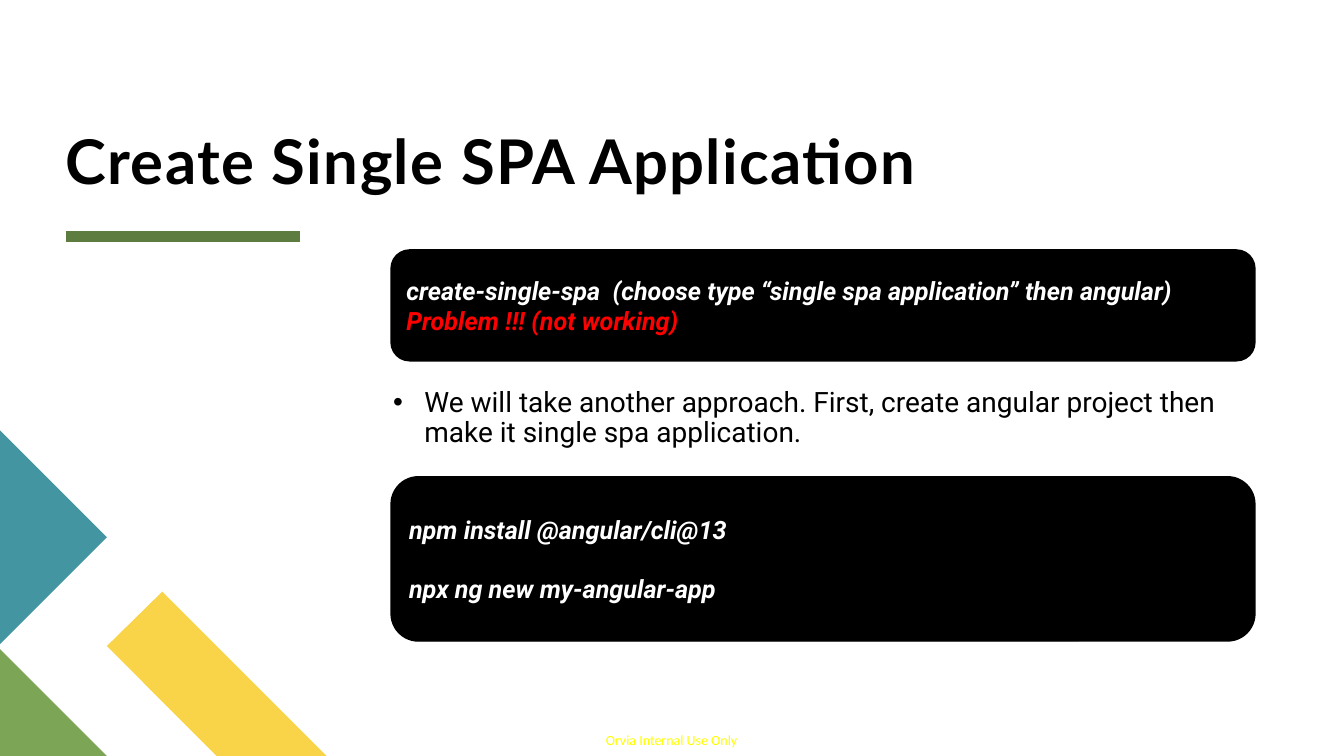
from dataclasses import dataclass

import pptx
import pptx.dml.color
import pptx.enum.shapes
import pptx.enum.text
import pptx.oxml.xmlchemy
import pptx.slide
import pptx.text.text
import pptx.util

RGB = pptx.dml.color.RGBColor
BLACK = RGB(0x00, 0x00, 0x00)
WHITE = RGB(0xFF, 0xFF, 0xFF)
RED = RGB(0xFF, 0x00, 0x00)
BRIGHT_YELLOW = RGB(0xFF, 0xFF, 0x00)
YELLOW = RGB(0xF9, 0xD4, 0x48)
GREEN = RGB(0x7C, 0xA6, 0x55)
DARK_GREEN = RGB(0x5D, 0x7D, 0x40)
TEAL = RGB(0x44, 0x95, 0xA2)

# The grid has square cells: 75 rows fill the height of the slide.
CELL = pptx.util.Inches(0.1)
COLUMNS, ROWS = 133.33, 75
MARGIN = 6.5
CONTENT_LEFT, CONTENT_WIDTH = 38.8, 85.7


@dataclass(frozen=True)
class Ornament:
    color: RGB
    corners: tuple[tuple[float, float], ...]


@dataclass(frozen=True)
class CodeBox:
    top: float
    height: float
    gap: float
    lines: tuple[tuple[str, RGB], ...]


ORNAMENTS = (
    Ornament(YELLOW, ((32.4, ROWS), (21.5, ROWS), (10.6, 64.1), (16.1, 58.7))),
    Ornament(GREEN, ((10.6, ROWS), (0, ROWS), (0, 64.4))),
    Ornament(TEAL, ((0, 42.7), (10.6, 53.3), (0, 63.9))),
)
CODE_BOXES = (
    CodeBox(24.8, 11, 0, (
        ("create-single-spa  (choose type “single spa application” then angular)", WHITE),
        ("Problem !!! (not working)", RED),
    )),
    CodeBox(47.3, 16.3, 21, (
        ("npm install @angular/cli@13", WHITE),
        ("npx ng new my-angular-app", WHITE),
    )),
)


def cells(*counts: float) -> tuple[pptx.util.Emu, ...]:
    """Turn counts of grid cells into lengths."""
    return tuple(pptx.util.Emu(round(count * CELL)) for count in counts)


def format_runs(para: pptx.text.text._Paragraph, font: str, size: float,
                color: RGB, bold: bool = False, italic: bool = False) -> None:
    for span in para.runs:
        span.font.name = font
        span.font.size = pptx.util.Pt(size)
        span.font.color.rgb = color
        span.font.bold = bold
        span.font.italic = italic


def set_frame(frame: pptx.text.text.TextFrame, anchor: pptx.enum.text.MSO_ANCHOR,
              top_inset: float = 0, wrap: bool = True) -> None:
    """Remove the insets except the top one, and set wrapping and anchor."""
    frame.margin_left = frame.margin_right = frame.margin_bottom = 0
    frame.margin_top, = cells(top_inset)
    frame.word_wrap = wrap
    frame.vertical_anchor = anchor


def add_title(page: pptx.slide.Slide) -> None:
    title = page.shapes.title
    title.left, title.top, title.width, title.height = cells(MARGIN, 1.1, 118.9, 18.4)
    frame = title.text_frame
    frame.text = "Create Single SPA Application"
    set_frame(frame, pptx.enum.text.MSO_ANCHOR.BOTTOM)
    frame.auto_size = pptx.enum.text.MSO_AUTO_SIZE.NONE
    para = frame.paragraphs[0]
    para.alignment = pptx.enum.text.PP_ALIGN.LEFT
    para.line_spacing = 0.8
    format_runs(para, "Lato", 44, BLACK, bold=True)
    para.runs[0].font._element.set("spc", "100")


def add_title_rule(page: pptx.slide.Slide) -> None:
    rule = page.shapes.add_connector(
        pptx.enum.shapes.MSO_CONNECTOR.STRAIGHT, *cells(MARGIN, 23.5, 29.8, 23.5))
    rule.line.color.rgb = DARK_GREEN
    rule.line.width = pptx.util.Pt(8)
    rule._element.spPr.append(pptx.oxml.xmlchemy.OxmlElement("a:effectLst"))


def add_ornament(page: pptx.slide.Slide, ornament: Ornament) -> None:
    start, *others = (cells(*corner) for corner in ornament.corners)
    builder = page.shapes.build_freeform(*start)
    builder.add_line_segments(others, close=True)
    shape = builder.convert_to_shape()
    shape.shadow.inherit = False
    shape.fill.solid()
    shape.fill.fore_color.rgb = ornament.color
    shape.line.fill.background()


def add_code_box(page: pptx.slide.Slide, code: CodeBox) -> None:
    box = page.shapes.add_shape(
        pptx.enum.shapes.MSO_SHAPE.ROUNDED_RECTANGLE,
        *cells(CONTENT_LEFT, code.top, CONTENT_WIDTH, code.height))
    box.shadow.inherit = False
    box.fill.solid()
    box.fill.fore_color.rgb = BLACK
    box.line.color.rgb = BLACK
    box.line.width = pptx.util.Pt(1)
    frame = box.text_frame
    frame.vertical_anchor = pptx.enum.text.MSO_ANCHOR.MIDDLE
    frame.text = "\n".join(text for text, _ in code.lines)
    for index, (para, (_, color)) in enumerate(zip(frame.paragraphs, code.lines)):
        para.alignment = pptx.enum.text.PP_ALIGN.LEFT
        para.space_before = pptx.util.Pt(code.gap if index else 0)
        format_runs(para, "Roboto", 18, color, bold=True, italic=True)


def add_bullet(para: pptx.text.text._Paragraph, indent: float) -> None:
    properties = para._element.get_or_add_pPr()
    hanging, = cells(indent)
    properties.set("marL", str(hanging))
    properties.set("indent", str(-hanging))
    font = pptx.oxml.xmlchemy.OxmlElement("a:buFont")
    font.set("typeface", "Arial")
    mark = pptx.oxml.xmlchemy.OxmlElement("a:buChar")
    mark.set("char", "•")
    properties.extend((font, mark))


def add_approach(page: pptx.slide.Slide) -> None:
    box = page.shapes.add_textbox(*cells(39, 36, 85.4, 11))
    frame = box.text_frame
    frame.text = ("We will take another approach. First, create angular project "
                  "then make it single spa application.")
    set_frame(frame, pptx.enum.text.MSO_ANCHOR.TOP, top_inset=2.5)
    para = frame.paragraphs[0]
    para.line_spacing = 0.9
    para.space_before = pptx.util.Pt(18)
    add_bullet(para, 3.1)
    format_runs(para, "Roboto", 20, BLACK)


def add_usage_label(page: pptx.slide.Slide) -> None:
    box = page.shapes.add_textbox(*cells(60.1, 72.6, 13.4, 1.7))
    frame = box.text_frame
    frame.text = "Orvia Internal Use Only"
    set_frame(frame, pptx.enum.text.MSO_ANCHOR.TOP, wrap=False)
    format_runs(frame.paragraphs[0], "Calibri", 10, BRIGHT_YELLOW)


def main() -> None:
    deck = pptx.Presentation()
    deck.slide_width, deck.slide_height = cells(COLUMNS, ROWS)
    page = deck.slides.add_slide(deck.slide_layouts.get_by_name("Title Only"))
    add_usage_label(page)
    add_title_rule(page)
    add_title(page)
    for ornament in ORNAMENTS:
        add_ornament(page, ornament)
    add_approach(page)
    for code in CODE_BOXES:
        add_code_box(page, code)
    deck.save("out.pptx")


if __name__ == "__main__":
    main()
